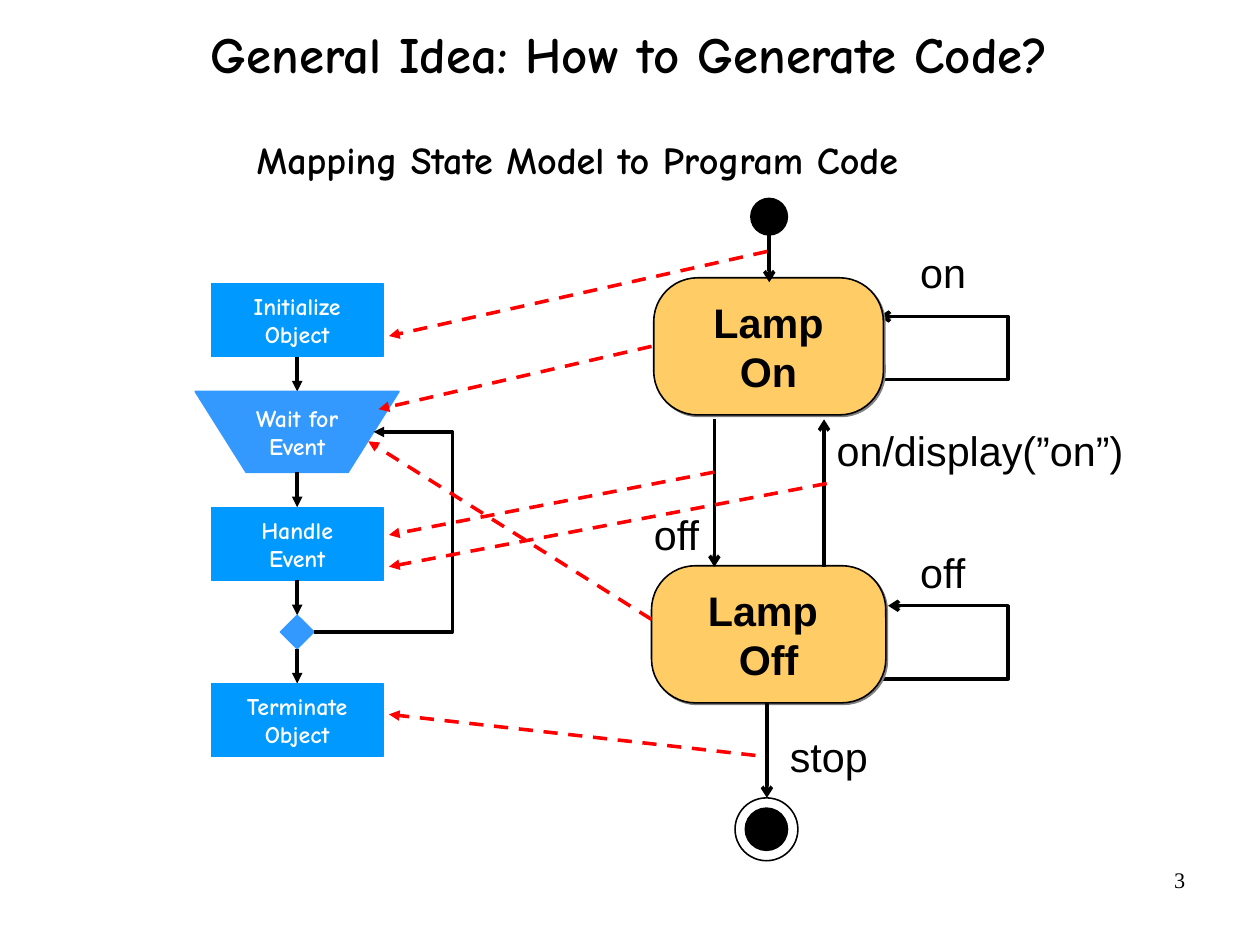
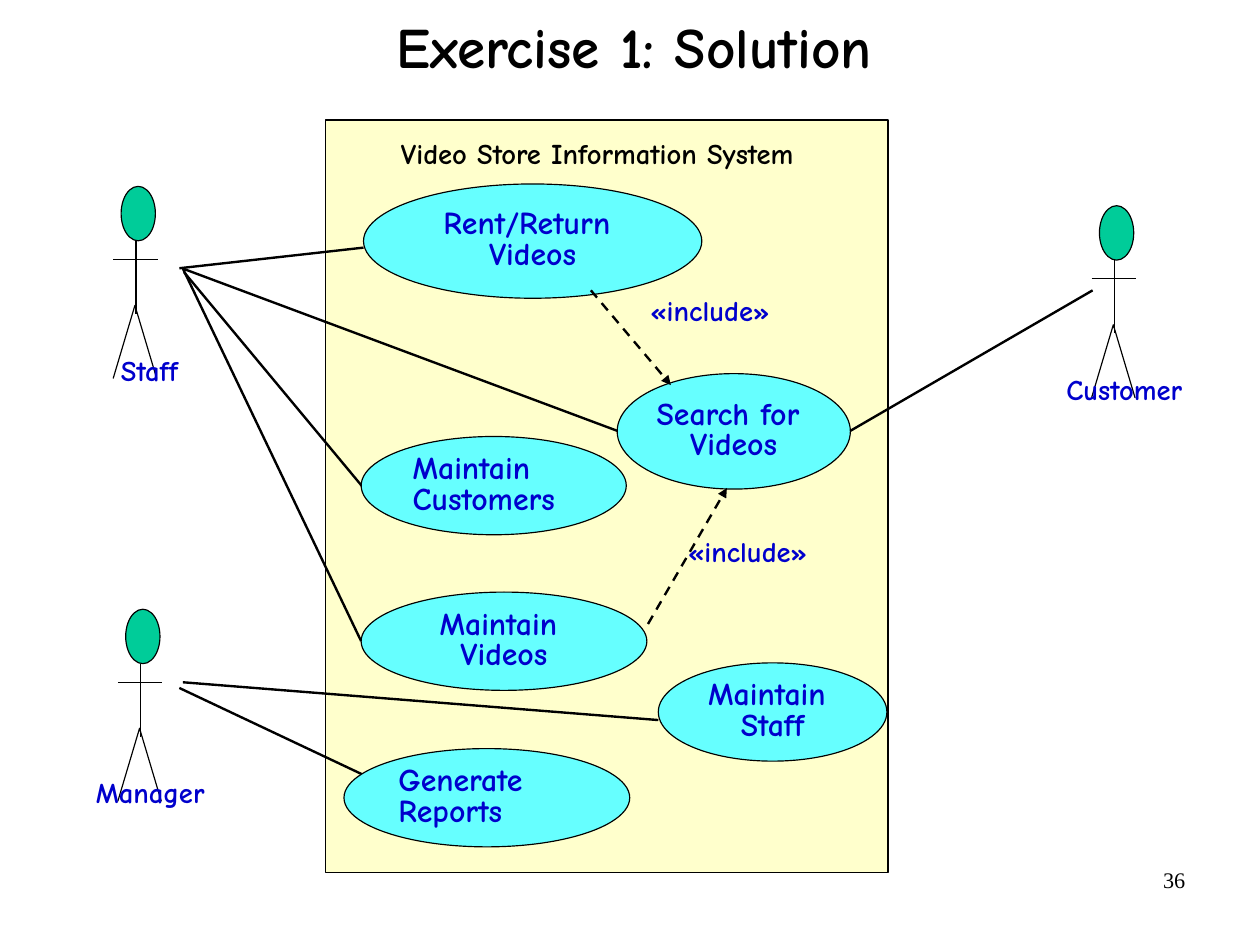
import dataclasses

import pptx
import pptx.dml.color
import pptx.enum.dml
import pptx.enum.shapes
import pptx.enum.text
import pptx.oxml
import pptx.oxml.ns
import pptx.util

Pt = pptx.util.Pt
qn = pptx.oxml.ns.qn
SHAPE = pptx.enum.shapes.MSO_SHAPE
CONNECTOR = pptx.enum.shapes.MSO_CONNECTOR
ALIGN = pptx.enum.text.PP_ALIGN
ANCHOR = pptx.enum.text.MSO_ANCHOR
DASH = pptx.enum.dml.MSO_LINE.DASH
XMLNS = pptx.oxml.ns.nsdecls("a")


@dataclasses.dataclass(frozen=True)
class TextStyle:
    size: float
    color: str = "000000"
    font: str = "Comic Neue"
    bold: bool = True
    align: object = ALIGN.LEFT
    anchor: object = ANCHOR.MIDDLE
    spacing: float = 1.0
    inset: tuple = (7.9, 4)
    wrap: bool = False


@dataclasses.dataclass(frozen=True)
class Theme:
    # Colours
    black: str = "000000"
    white: str = "FFFFFF"
    process: str = "0099FF"
    event: str = "3399FF"
    state: str = "FFCC66"
    shadow: str = "808080"
    mapping: str = "FF0000"
    system: str = "FFFFCC"
    use_case: str = "66FFFF"
    actor: str = "00CC99"
    # Line widths
    thin: float = 0.75
    outline: float = 1
    association: float = 1.5
    flow: float = 2.25
    # Text
    heading: TextStyle = TextStyle(32, align=ALIGN.CENTER, spacing=0.88, inset=(0, 0), wrap=True)
    number: TextStyle = TextStyle(14, font="Times New Roman", bold=False, align=ALIGN.RIGHT,
                                  anchor=ANCHOR.TOP, inset=(7.2, 3.6), wrap=True)
    step: TextStyle = TextStyle(15, "FFFFFF", align=ALIGN.CENTER)
    state_name: TextStyle = TextStyle(26, font="Arial", align=ALIGN.CENTER, wrap=True)
    transition: TextStyle = TextStyle(26, font="Arial", bold=False, anchor=ANCHOR.TOP)
    case_name: TextStyle = TextStyle(20, "0000CC", align=ALIGN.CENTER, spacing=0.8)
    label: TextStyle = TextStyle(18, "0000CC", anchor=ANCHOR.TOP, spacing=0.8, inset=(7.2, 3.6))


THEME = Theme()
SLIDE_SIZE = (793.7, 595.3)


def rgb(value):
    return pptx.dml.color.RGBColor.from_string(value)


def set_all(target, values):
    for name, value in values.items():
        setattr(target, name, value)


def add_xml(parent, xml):
    parent.append(pptx.oxml.parse_xml(xml))


def add_arrow(part, kind):
    add_xml(part._element.spPr.find(qn("a:ln")), f'<a:tailEnd {XMLNS} type="{kind}"/>')


def write(part, text, style):
    frame = part.text_frame
    side, edge = (Pt(inset) for inset in style.inset)
    frame.text = text
    set_all(frame, dict(word_wrap=style.wrap, vertical_anchor=style.anchor,
                        margin_left=side, margin_right=side,
                        margin_top=edge, margin_bottom=edge))
    for paragraph in frame.paragraphs:
        set_all(paragraph, dict(alignment=style.align, line_spacing=style.spacing))
        for run in paragraph.runs:
            set_all(run.font, dict(name=style.font, size=Pt(style.size), bold=style.bold))
            run.font.color.rgb = rgb(style.color)


class Region:
    """Draws parts, in points, relative to the top left of a box on a slide."""

    def __init__(self, slide, box):
        self.shapes = slide.shapes
        self.left, self.top, self.width, self.height = box

    def point(self, x, y):
        return Pt(self.left + x), Pt(self.top + y)

    def paint(self, part, fill, line, weight):
        part.shadow.inherit = False
        if fill:
            part.fill.solid()
            part.fill.fore_color.rgb = rgb(fill)
        else:
            part.fill.background()
        part.line.color.rgb = rgb(line)
        part.line.width = Pt(weight)
        return part

    def shape(self, kind, x, y, width, height, fill, line=THEME.black, weight=THEME.thin):
        part = self.shapes.add_shape(kind, *self.point(x, y), Pt(width), Pt(height))
        return self.paint(part, fill, line, weight)

    def outline(self, points, weight, fill=None, line=THEME.black, close=False):
        start, *others = (self.point(*point) for point in points)
        builder = self.shapes.build_freeform(*start, scale=1.0)
        builder.add_line_segments(others, close=close)
        return self.paint(builder.convert_to_shape(), fill, line, weight)

    def text(self, text, x, y, width, height, style):
        write(self.shapes.add_textbox(*self.point(x, y), Pt(width), Pt(height)), text, style)

    def line(self, start, end, weight, color=THEME.black, arrow=None, dash=None,
             kind=CONNECTOR.STRAIGHT):
        part = self.shapes.add_connector(kind, *self.point(*start), *self.point(*end))
        part.line.color.rgb = rgb(color)
        set_all(part.line, dict(width=Pt(weight), dash_style=dash))
        if arrow:
            add_arrow(part, arrow)
        add_xml(part._element.spPr, f"<a:effectLst {XMLNS}/>")
        return part


def heading(slide, text, box, size):
    region = Region(slide, box)
    style = dataclasses.replace(THEME.heading, size=size)
    region.text(text, 0, 0, region.width, region.height, style)


def new_slide(deck, title, title_box, title_size, number):
    slide = deck.slides.add_slide(deck.slide_layouts[6])
    heading(slide, title, title_box, title_size)
    Region(slide, (568.8, 542.2, 185, 41)).text(number, 0, 0, 185, 41, THEME.number)
    return slide


def flowchart(slide, box):
    region = Region(slide, box)
    width, middle, gap = region.width, region.width / 2, 22
    steps = [("process", "Initialize\nObject", 46), ("wait", "Wait for\nEvent", 51),
             ("process", "Handle\nEvent", 46), ("decision", "", 21),
             ("process", "Terminate\nObject", 46)]
    centers = {}
    top = 0
    for index, (kind, text, height) in enumerate(steps):
        bottom = top + height
        centers[kind] = top + height / 2
        if kind == "wait":
            corners = [(0, top), (width / 4, bottom), (width * 3 / 4, bottom), (width, top)]
            step = region.outline(corners, THEME.outline, THEME.event, THEME.event, close=True)
        elif kind == "decision":
            step = region.shape(SHAPE.DIAMOND, middle - height / 2, top, height, height,
                                THEME.event, THEME.event, THEME.outline)
        else:
            step = region.shape(SHAPE.FLOWCHART_PROCESS, middle - 54, top, 108, height,
                                THEME.process, THEME.process, THEME.outline)
        if text:
            write(step, text, THEME.step)
        if index < len(steps) - 1:
            region.line((middle, bottom), (middle, bottom + gap), THEME.flow, arrow="triangle")
        top = bottom + gap

    # Return path from the decision to the wait step
    start, end, turn = middle + 10.5, width * 7 / 8, 162
    loop = region.line((start, centers["decision"]), (end, centers["wait"]), THEME.flow,
                       arrow="triangle", kind=CONNECTOR.ELBOW)
    geometry = loop._element.spPr.find(qn("a:prstGeom"))
    for guides in list(geometry):
        geometry.remove(guides)
    bend = round((turn - start) / (end - start) * 100000)
    add_xml(geometry, f'<a:avLst {XMLNS}><a:gd name="adj1" fmla="val {bend}"/></a:avLst>')


def state_diagram(slide, box):
    region = Region(slide, box)
    # Self transitions, each as a loop to the right of its state
    for start, end, bottom, top in [(136.7, 149.7, 114, 74.4), (143.9, 155.4, 302.7, 256.6)]:
        loop = region.outline([(start, bottom), (231, bottom), (231, top), (end, top)], THEME.flow)
        add_arrow(loop, "arrow")

    # States
    for name, x, y, width in [("Lamp\nOn", 7.8, 50, 144.7), ("Lamp \nOff", 6.4, 231.4, 147.6)]:
        state = region.shape(SHAPE.ROUNDED_RECTANGLE, x, y, width, 86.4, THEME.state,
                             weight=THEME.outline)
        state.adjustments[0] = 0.32
        write(state, name, THEME.state_name)
        effects = state._element.spPr.find(qn("a:effectLst"))
        add_xml(effects, f'<a:outerShdw {XMLNS} dist="{Pt(1.4)}" dir="2700000">'
                         f'<a:srgbClr val="{THEME.shadow}"/></a:outerShdw>')

    # Transitions: x, start and end height
    for x, start, end in [(46, 139.2, 232.1), (115.1, 232.1, 139.2),
                          (80.6, 12.5, 52.8), (79.1, 317.8, 377.6)]:
        region.line((x, start), (x, end), THEME.flow, arrow="arrow")
    for text, x, y, width in [("on", 167.7, 26.9, 60), ("off", 167.7, 215.6, 60),
                              ("off", 0, 191.8, 60), ("on/display(”on”)", 115.1, 139.2, 220),
                              ("stop", 85.6, 331.5, 84)]:
        region.text(text, x, y, width, 38.9, THEME.transition)

    # Start dot and end ring
    for x, y, size, fill in [(80.5, 11.5, 23, THEME.black), (78.8, 397.4, 39.6, THEME.white),
                             (78.8, 397.4, 26.6, THEME.black)]:
        region.shape(SHAPE.OVAL, x - size / 2, y - size / 2, size, size, fill,
                     weight=THEME.outline)


def mapping_links(slide, box):
    region = Region(slide, box)
    for model, code in [((251.3, 0.4), (13, 53.7)), ((178.4, 60.2), (6.5, 99.8)),
                        ((178.4, 232.2), (0, 120)), ((218, 139.4), (13, 179)),
                        ((288.8, 146.6), (13, 199)), ((243.9, 317.9), (13, 292))]:
        region.line(model, code, THEME.flow, THEME.mapping, "triangle", DASH)


def system_boundary(slide, box):
    region = Region(slide, box)
    region.shape(SHAPE.RECTANGLE, 0, 0, region.width, region.height, THEME.system)
    heading(slide, "Video Store Information System", (region.left, region.top, 342, 45), 18)


def use_cases(slide, box):
    region = Region(slide, box)
    for name, x, y, width, height, align in [
            ("Rent/Return \nVideos", 23.8, 40.3, 213.1, 72, ALIGN.CENTER),
            ("Search for \nVideos", 183.6, 159.8, 146.9, 72.7, ALIGN.CENTER),
            ("Maintain\nCustomers", 22.3, 199.4, 167, 61.9, ALIGN.LEFT),
            ("Maintain \nVideos", 22.3, 297.4, 180, 61.9, ALIGN.CENTER),
            ("Maintain \nStaff", 209.5, 342, 144, 61.9, ALIGN.CENTER),
            ("Generate\nReports", 11.5, 396, 180, 61.9, ALIGN.LEFT)]:
        case = region.shape(SHAPE.OVAL, x, y, width, height, THEME.use_case)
        write(case, name, dataclasses.replace(THEME.case_name, align=align))

    # Include relations
    for start, end, label in [((167, 107.3), (217.4, 167), (197.3, 109.4)),
                              ((203, 317.5), (252.7, 231.8), (221, 261.4))]:
        region.line(start, end, THEME.association, arrow="triangle", dash=DASH)
        region.text("«include»", *label, 100, 25.2, THEME.label)


def associations(slide, box):
    region = Region(slide, box)
    for start, end in [((0, 13), (116, 0)), ((2.2, 13.2), (275.8, 115.4)),
                       ((2.9, 15.4), (116, 151.4)), ((2.2, 13.2), (114.5, 247.9)),
                       ((0, 277.4), (116, 332.2)), ((2.2, 273.8), (301.7, 297.6)),
                       ((422.7, 115.4), (575.3, 26.9))]:
        region.line(start, end, THEME.association)


def actor(slide, box, name, label_left, label_width):
    region = Region(slide, box)
    region.shape(SHAPE.OVAL, 5, 0, 21.6, 34.3, THEME.actor)
    region.line((14.4, 34.5), (14.4, 80.5), THEME.thin)
    region.line((0, 46), (region.width, 46), THEME.thin)
    region.outline([(0, region.height), (13.7, 75), (27.4, region.height)], THEME.thin)
    region.text(name, label_left, 105.3, label_width, 24.5, THEME.label)


def main():
    deck = pptx.Presentation()
    set_all(deck, dict(zip(("slide_width", "slide_height"), map(Pt, SLIDE_SIZE))))

    # State model mapped to code
    slide = new_slide(deck, "General Idea: How to Generate Code?", (9.4, 7.9, 774.7, 56.2), 32, "3")
    heading(slide, "Mapping State Model to Program Code", (0, 74.2, 727.2, 56.2), 24)
    flowchart(slide, (123, 178.6, 128.4, 298))
    state_diagram(slide, (404, 125, 312, 417))
    mapping_links(slide, (232, 158, 289, 318))

    # Use case diagram
    slide = new_slide(deck, "Exercise 1: Solution", (61.2, 0, 676.8, 64.1), 36, "36")
    system = (205.2, 75.6, 354.2, 473.8)
    system_boundary(slide, system)
    associations(slide, (113, 156, 576, 333))
    use_cases(slide, system)
    for name, left, top, label_left, label_width in [("Staff", 71.3, 117.4, -2.2, 60),
                                                     ("Customer", 687.6, 129.6, -23, 100),
                                                     ("Manager", 74.2, 383.8, -20.9, 100)]:
        actor(slide, (left, top, 28.1, 121), name, label_left, label_width)

    deck.save("out.pptx")


if __name__ == "__main__":
    main()
